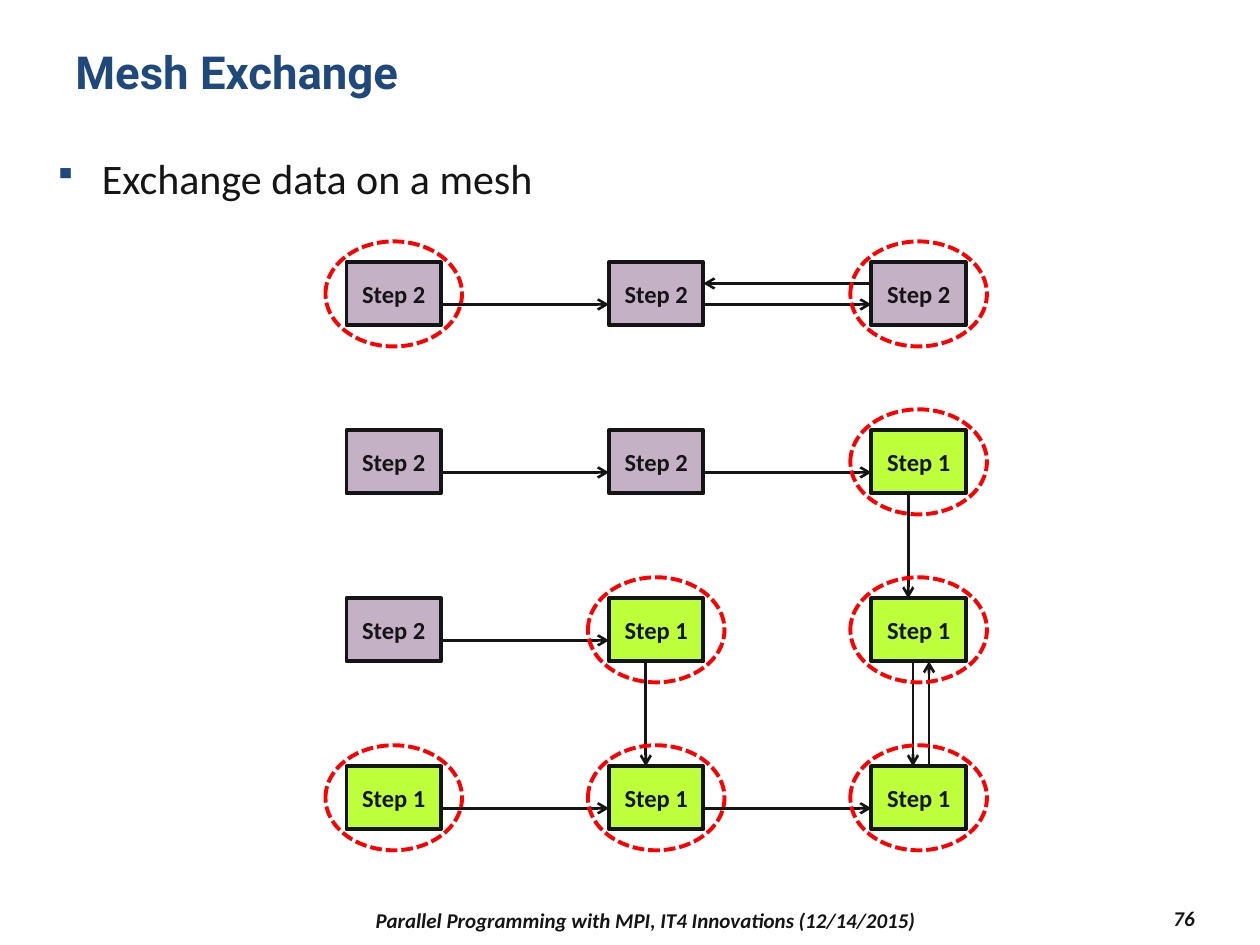
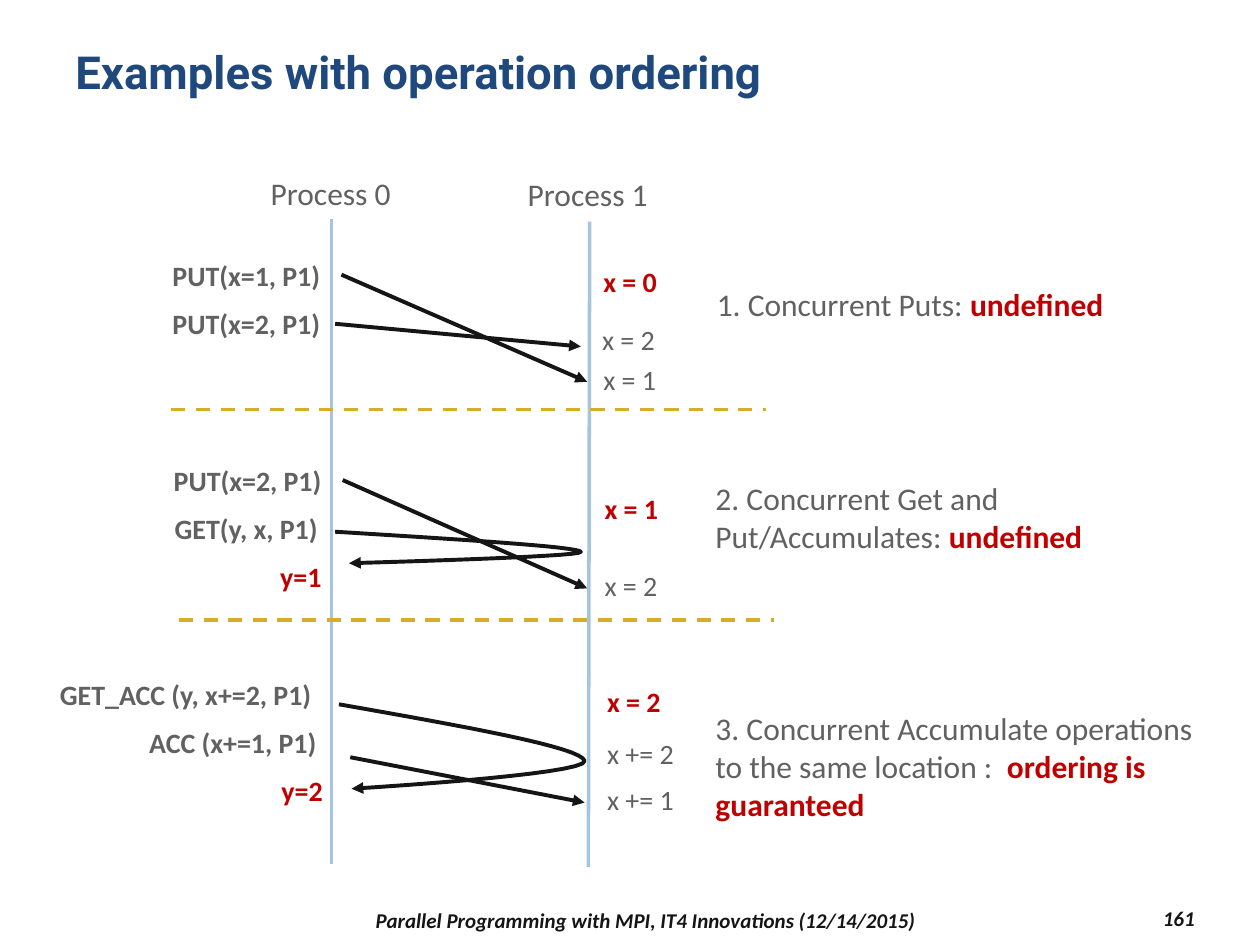
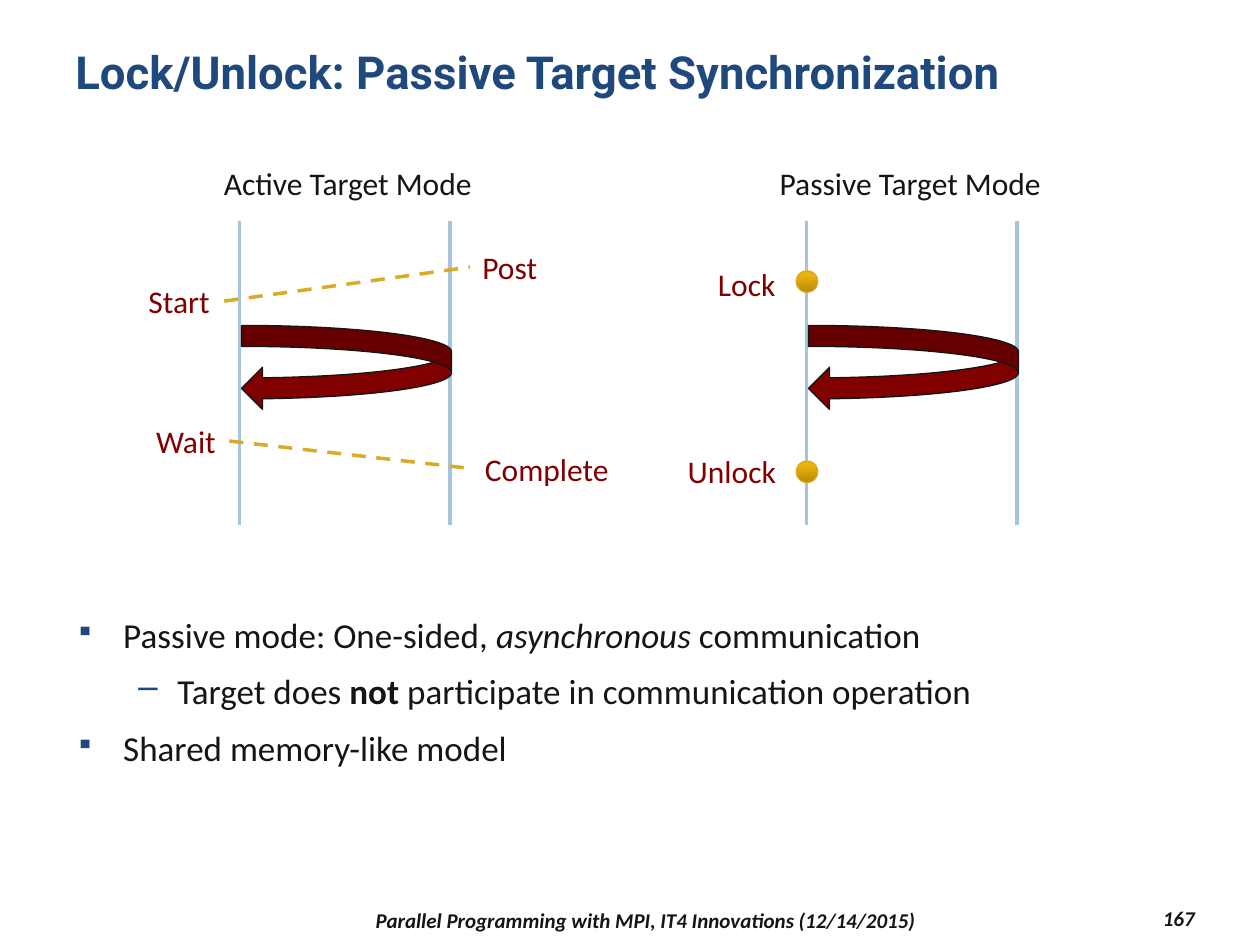
from lxml.etree import SubElement
from pptx import Presentation
from pptx.dml.color import RGBColor
from pptx.enum.dml import MSO_LINE_DASH_STYLE as Dash
from pptx.enum.shapes import MSO_CONNECTOR as Connector, MSO_SHAPE as Shape
from pptx.enum.text import MSO_ANCHOR as Anchor, MSO_AUTO_SIZE as AutoSize, PP_ALIGN as Align
from pptx.oxml.ns import qn
from pptx.util import Inches, Pt

COLORS = {
    "title": "1F497D", "ink": "151515", "grey": "616161", "alert": "C00000",
    "maroon": "800000", "timeline": "A6C4DE", "gold": "D8AC28",
    "dot_line": "D8AA23", "dot_dark": "B58A0A", "dot_light": "EBB30D",
    "Step 1": "BDFF3B", "Step 2": "C4B1C5", "ring": "FF0000",
}
FOOTER = "Parallel Programming with MPI, IT4 Innovations (12/14/2015)"
BODY_FONT, TITLE_FONT = "Calibri", "Roboto"
SLIDE_WIDTH, SLIDE_HEIGHT = Inches(10), Inches(7.5)
LINE_HEIGHT = 1.22

# Mesh of boxes, in percent of the slide width
MESH_LEFT, MESH_TOP = 27.5, 20.83
COLUMN_STEP, ROW_STEP = 20.83, 13.33
BOX_WIDTH, BOX_HEIGHT = 7.5, 5
RING_MARGIN = 1.67

OPERATION_WIDTH = 24

# Per level: character, size in percent, margin and indent in inches
BULLETS = [("▪", 75, 0.38, -0.38), ("–", 100, 0.81, -0.31)]
RED = {"bold": True, "color": "alert"}


def share(percent):
    """Length as a percentage of the slide width."""
    return round(SLIDE_WIDTH * percent / 100)


def rgb(name):
    return RGBColor.from_string(COLORS[name])


def style_font(font, size=None, color=None, bold=None, italic=None, name=None):
    if size:
        font.size = Pt(size)
    if color:
        font.color.rgb = rgb(color)
    if name:
        font.name = name
    if bold is not None:
        font.bold = bold
    if italic is not None:
        font.italic = italic


def fill_paragraph(paragraph, runs, align=Align.LEFT, name=BODY_FONT, **style):
    """Write a string, or (text, overrides) runs, in one paragraph style."""
    paragraph.alignment = align
    style_font(paragraph.font, name=name, **style)
    for text, overrides in [(runs, {})] if isinstance(runs, str) else runs:
        run = paragraph.add_run()
        run.text = text
        if overrides:
            style_font(run.font, **overrides)


def add_text(slide, box, runs, anchor=Anchor.TOP, **style):
    frame = slide.shapes.add_textbox(*map(share, box)).text_frame
    frame.word_wrap = True
    frame.vertical_anchor = anchor
    fill_paragraph(frame.paragraphs[0], runs, **style)
    return frame


def label_height(size, lines=1):
    return 1 + lines * 10 * size * LINE_HEIGHT / 72


def add_label(slide, text, left, top, width, size=16, lines=1, **style):
    """Text whose box height follows from its size; one line never wraps."""
    box = (left, top, width, label_height(size, lines))
    frame = add_text(slide, box, text, size=size, **style)
    frame.word_wrap = lines > 1
    frame.auto_size = AutoSize.SHAPE_TO_FIT_TEXT


def add_operation(slide, text, right, top, color="grey"):
    """Bold label that ends at a right edge, with room for the longest call."""
    box = (right - OPERATION_WIDTH, top, OPERATION_WIDTH, label_height(16))
    add_text(slide, box, text, align=Align.RIGHT, size=16, color=color, bold=True)


def add_bullets(slide, box, items, size):
    """Bulleted list of (level, runs) items."""
    frame = slide.shapes.add_textbox(*map(share, box)).text_frame
    frame.word_wrap = True
    for index, (level, runs) in enumerate(items):
        paragraph = frame.add_paragraph() if index else frame.paragraphs[0]
        character, bullet_size, margin, indent = BULLETS[level]
        properties = paragraph._p.get_or_add_pPr()
        properties.set("marL", str(Inches(margin)))
        properties.set("indent", str(Inches(indent)))
        color = SubElement(properties, qn("a:buClr"))
        SubElement(color, qn("a:srgbClr"), val=COLORS["title"])
        SubElement(properties, qn("a:buSzPct"), val=str(bullet_size * 1000))
        SubElement(properties, qn("a:buChar"), char=character)
        paragraph.level = level
        paragraph.line_spacing = 1.2
        if index:
            paragraph.space_before = Pt(3.5)
        fill_paragraph(paragraph, runs, size=size, color="ink")


def style_line(shape, color, width, dash=None, head=None):
    shape.line.color.rgb = rgb(color)
    shape.line.width = Pt(width)
    if dash:
        shape.line.dash_style = dash
    if head:
        outline = shape._element.spPr.find(qn("a:ln"))
        SubElement(outline, qn("a:tailEnd"), type=head)


def add_line(slide, start, end, color="ink", width=2, **style):
    points = map(share, (*start, *end))
    connector = slide.shapes.add_connector(Connector.STRAIGHT, *points)
    style_line(connector, color, width, **style)
    SubElement(connector._element.spPr, qn("a:effectLst"))


def add_shape(slide, kind, box, line, width, fill=None, dash=None):
    shape = slide.shapes.add_shape(kind, *map(share, box))
    shape.shadow.inherit = False
    if fill:
        shape.fill.solid()
        shape.fill.fore_color.rgb = rgb(fill)
    else:
        shape.fill.background()
    style_line(shape, line, width, dash)
    return shape


def add_return_curve(slide, *controls, steps=16):
    """Open arrow through cubic Bézier segments given by their control points."""
    points = []
    for first in range(0, len(controls) - 1, 3):
        segment = controls[first:first + 4]
        for step in range(steps + 1):
            t = step / steps
            weights = ((1 - t) ** 3, 3 * t * (1 - t) ** 2, 3 * t * t * (1 - t), t ** 3)
            points.append(tuple(share(sum(w * p[axis] for w, p in zip(weights, segment)))
                                for axis in (0, 1)))
    builder = slide.shapes.build_freeform(*points[0])
    builder.add_line_segments(points[1:], close=False)
    curve = builder.convert_to_shape()
    curve.shadow.inherit = False
    curve.fill.background()
    style_line(curve, "ink", 2.25, head="triangle")


def add_dot(slide, left, top):
    dot = add_shape(slide, Shape.OVAL, (left, top, 1.7, 1.7), "dot_line", 0.75)
    dot.fill.gradient()
    dot.fill.gradient_angle = 90
    for stop, color, position in zip(dot.fill.gradient_stops,
                                     ("dot_dark", "dot_light"), (0, 0.8)):
        stop.color.rgb = rgb(color)
        stop.position = position


def start_slide(presentation, title, number):
    slide = presentation.slides.add_slide(presentation.slide_layouts[6])
    add_text(slide, (5, 3, 90, 8.7), title, name=TITLE_FONT, size=26,
             color="title", bold=True)
    small = {"size": 12, "color": "ink", "bold": True, "italic": True,
             "anchor": Anchor.MIDDLE}
    add_text(slide, (21.67, 71.7, 59.17, 2.7), FOOTER, align=Align.CENTER, **small)
    add_text(slide, (85, 71.5, 10.8, 2.7), str(number), align=Align.RIGHT, **small)
    return slide


def mesh_point(column, row, across=0, down=0):
    """Point in a mesh box, at fractions of its width and height."""
    return (MESH_LEFT + column * COLUMN_STEP + across * BOX_WIDTH,
            MESH_TOP + row * ROW_STEP + down * BOX_HEIGHT)


def build_mesh_slide(presentation):
    slide = start_slide(presentation, "Mesh Exchange", 76)
    add_bullets(slide, (3.3, 10.8, 93.3, 7.6), [(0, "Exchange data on a mesh")], 24)

    first_step_from = (3, 2, 1)  # per column, the first row of Step 1
    for row in range(4):
        for column, first_row in enumerate(first_step_from):
            step = "Step 1" if row >= first_row else "Step 2"
            box = add_shape(slide, Shape.RECTANGLE,
                            (*mesh_point(column, row), BOX_WIDTH, BOX_HEIGHT),
                            "ink", 2.25, fill=step)
            box.text_frame.vertical_anchor = Anchor.MIDDLE
            fill_paragraph(box.text_frame.paragraphs[0], step, Align.CENTER,
                           size=14, color="ink", bold=True)

    rightward = [(0, row) for row in range(4)] + [(1, 0), (1, 1), (1, 3)]
    arrows = [(mesh_point(column, row, 1, 2 / 3), mesh_point(column + 1, row, 0, 2 / 3))
              for column, row in rightward]
    arrows.append((mesh_point(2, 0, 0, 1 / 3), mesh_point(1, 0, 1, 1 / 3)))
    for column, row, across in ((1, 2, 0.39), (2, 1, 0.39), (2, 2, 0.44)):
        arrows.append((mesh_point(column, row, across, 1),
                       mesh_point(column, row + 1, across)))
    arrows.append((mesh_point(2, 3, 0.61), mesh_point(2, 2, 0.61, 1)))
    for start, end in arrows:
        add_line(slide, start, end, width=1.5, head="arrow")

    for column, rows in enumerate(((0, 3), (2, 3), (0, 1, 2, 3))):
        for row in rows:
            left, top = mesh_point(column, row)
            add_shape(slide, Shape.OVAL,
                      (left - RING_MARGIN, top - RING_MARGIN,
                       BOX_WIDTH + 2 * RING_MARGIN, BOX_HEIGHT + 2 * RING_MARGIN),
                      "ring", 2.25, dash=Dash.SQUARE_DOT)


def build_ordering_slide(presentation):
    slide = start_slide(presentation, "Examples with operation ordering", 161)
    for name, left, top, line_top, line_bottom in (
            ("Process 0", 20.5, 13.3, (26.3, 17.4), (26.3, 68.6)),
            ("Process 1", 40.9, 13.4, (46.8, 17.6), (46.7, 68.8))):
        add_line(slide, line_top, line_bottom, "timeline")
        add_label(slide, name, left, top, 11.7, size=18, color="grey")

    for text, right, top in (
            ("PUT(x=1, P1)", 26.4, 20), ("PUT(x=2, P1)", 26.4, 23.8),
            ("PUT(x=2, P1)", 26.5, 36.3), ("GET(y, x, P1)", 26.2, 40.1),
            ("GET_ACC (y, x+=2, P1)", 25.7, 53.3), ("ACC (x+=1, P1)", 26.1, 57.1)):
        add_operation(slide, text, right, top)
    for text, right, top in (("y=1", 26.5, 43.9), ("y=2", 26.6, 60.9)):
        add_operation(slide, text, right, top, "alert")
    for text, left, top, width in (
            ("x = 2", 46.8, 25.1, 6.3), ("x = 1", 46.9, 28.3, 6.3),
            ("x = 2", 47, 44.6, 6.3), ("x += 2", 47.2, 58, 7.4), ("x += 1", 47.2, 61.6, 7.4)):
        add_label(slide, text, left, top, width, color="grey")
    for text, left, top in (("x = 0", 46.9, 20.5), ("x = 1", 47, 38.5), ("x = 2", 47.2, 53.8)):
        add_label(slide, text, left, top, 7.5, **RED)

    for start, end in (((27.1, 21.8), (46.6, 30.3)), ((26.6, 25.7), (46.1, 27.5)),
                       ((27.2, 38.1), (46.6, 46.7)), ((27.8, 60.1), (46.4, 63.7))):
        add_line(slide, start, end, width=2.25, head="triangle")
    add_return_curve(slide, (26.6, 42.2), (36.3, 42.8), (46, 43.4), (46.1, 43.8),
                     (46.3, 44.2), (27.7, 44.7), (27.7, 44.7))
    add_return_curve(slide, (26.9, 55.9), (36.5, 57.6), (46.2, 59.3), (46.4, 60.4),
                     (46.5, 61.5), (27.9, 62.6), (27.9, 62.6))
    for left, top in ((13.6, 32.5), (14.2, 49.2)):
        add_line(slide, (left, top), (left + 47.2, top), "gold", dash=Dash.DASH)

    notes = (
        ("1. Concurrent Puts: ", "undefined", 55.9, 22.1, 39.8),
        ("2. Concurrent Get and Put/Accumulates: ", "undefined", 55.8, 37.5, 39.8),
        ("3. Concurrent Accumulate operations to the same location :  ",
         "ordering is guaranteed", 55.8, 55.8, 42.5),
    )
    for lines, (text, verdict, left, top, width) in enumerate(notes, 1):
        add_label(slide, [(text, {}), (verdict, RED)], left, top, width,
                  size=18, lines=lines, color="grey")


def build_lock_slide(presentation):
    slide = start_slide(presentation, "Lock/Unlock: Passive Target Synchronization", 167)
    add_bullets(slide, (5, 47.5, 90, 21.7), [
        (0, [("Passive mode: One-sided, ", {}), ("asynchronous", {"italic": True}),
             (" communication", {})]),
        (1, [("Target does ", {}), ("not ", {"bold": True}),
             ("participate in communication operation", {})]),
        (0, "Shared memory-like model"),
    ], 20)

    for mode, label_left, label_width, left in (
            ("Active Target Mode", 16.5, 22.2, 19), ("Passive Target Mode", 60.6, 23.3, 64)):
        add_label(slide, mode, label_left, 12.5, label_width, size=18, color="ink",
                  align=Align.CENTER)
        for timeline in (left, left + 16.7):
            add_line(slide, (timeline, 17.5), (timeline, 41.7), "timeline")
        add_shape(slide, Shape.CURVED_LEFT_ARROW, (left + 0.17, 25.83, 16.67, 6.67),
                  "ink", 0.75, fill="maroon")

    for start, end in (((17.8, 23.9), (37.3, 21.2)), ((18.2, 35), (37.5, 37.2))):
        add_line(slide, start, end, "gold", dash=Dash.DASH)
    for top in (21.5, 36.6):
        add_dot(slide, 63.2, top)
    for text, left, top, width in (
            ("Start", 10.8, 21.9, 6.9), ("Post", 37.3, 19.2, 6.4),
            ("Wait", 11.4, 33, 6.8), ("Complete", 37.5, 35.2, 11.9),
            ("Lock", 56, 20.5, 6.6), ("Unlock", 53.6, 35.4, 9.1)):
        add_label(slide, text, left, top, width, size=18, color="maroon")


def main():
    presentation = Presentation()
    presentation.slide_width, presentation.slide_height = SLIDE_WIDTH, SLIDE_HEIGHT
    build_mesh_slide(presentation)
    build_ordering_slide(presentation)
    build_lock_slide(presentation)
    presentation.save("out.pptx")


if __name__ == "__main__":
    main()
